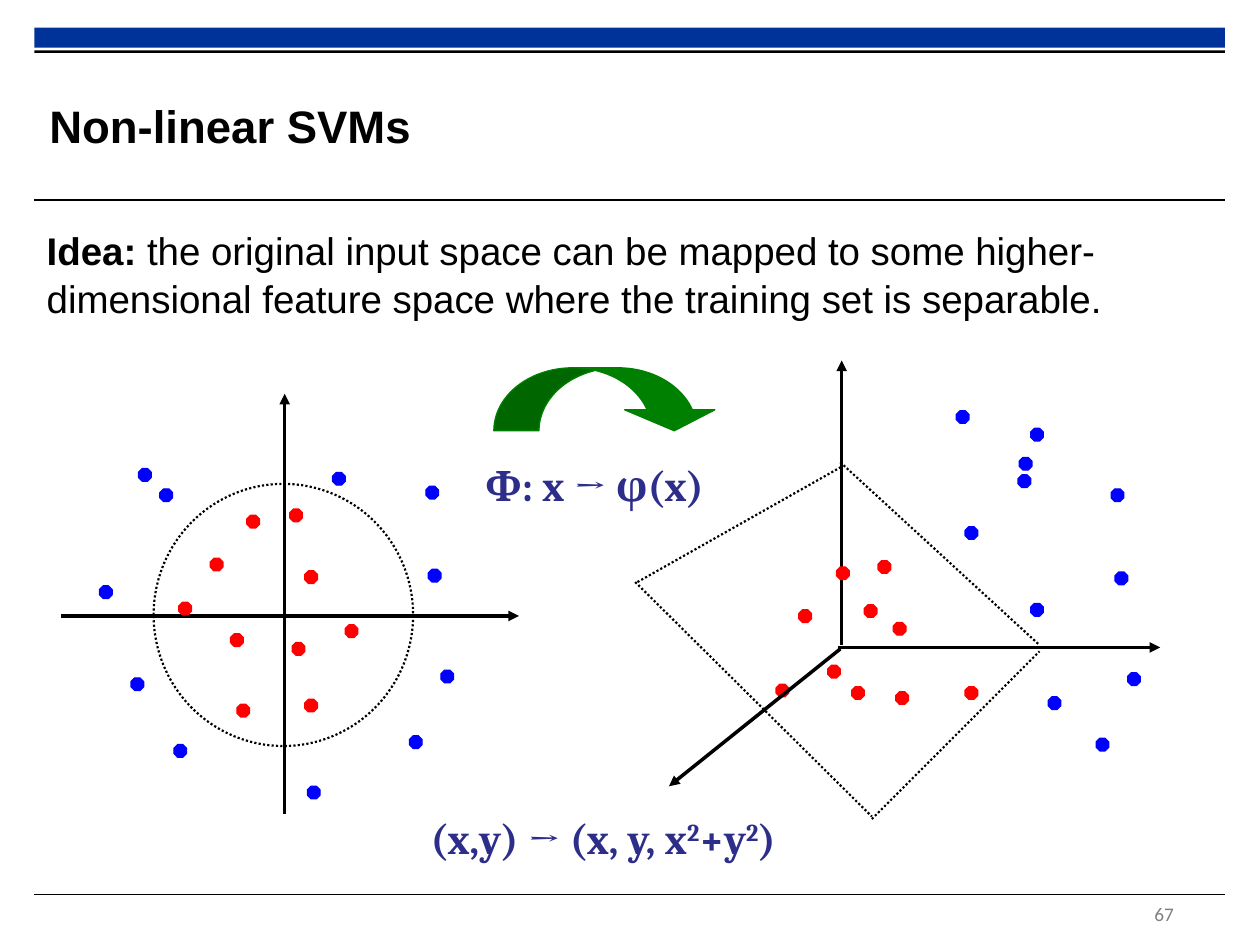
from lxml import etree
from pptx import Presentation
from pptx.dml.color import RGBColor
from pptx.enum.dml import MSO_LINE
from pptx.enum.shapes import MSO_CONNECTOR, MSO_SHAPE
from pptx.enum.text import MSO_ANCHOR
from pptx.oxml.ns import qn
from pptx.util import Pt

STRAIGHT = MSO_CONNECTOR.STRAIGHT
RECT, OVAL, OCTAGON = MSO_SHAPE.RECTANGLE, MSO_SHAPE.OVAL, MSO_SHAPE.OCTAGON
CURVED_ARROW = MSO_SHAPE.CURVED_DOWN_ARROW
DOTTED = MSO_LINE.ROUND_DOT
MIDDLE, TOP = MSO_ANCHOR.MIDDLE, MSO_ANCHOR.TOP

BLACK, RED, BLUE, GREEN = "000000", "FF0000", "0000FF", "008000"
NAVY, INDIGO, GRAY = "003399", "2D2D8A", "808080"
DOT = 7.2

# Dot positions, as left and top from the corner of each plot
INPUT_INNER = [
    (130.6, 65.9), (85.2, 94), (96.8, 137.2), (139.2, 174.6), (106.1, 69.5),
    (67.2, 119.2), (100.4, 177.5), (139.2, 101.2), (162.3, 132.1), (132, 142.2)]
INPUT_OUTER = [
    (209.8, 100.4), (199, 195.5), (21.9, 109.8), (140.7, 224.3), (217, 158),
    (64.4, 200.5), (39.9, 162.4), (44.2, 42.8), (155.1, 45), (56.4, 54.4),
    (208.4, 52.9)]
FEATURE_BELOW = [
    (138.8, 114.4), (93.5, 142.5), (123.7, 186.4), (188.5, 186.4), (115.1, 118),
    (130.9, 139.6), (148.9, 189.3), (147.5, 149.7), (110, 174.2), (80.5, 185)]
FEATURE_ABOVE = [
    (274.2, 120.9), (263.4, 215.9), (226, 38.8), (226, 138.9), (281.4, 178.5),
    (188.5, 95), (236, 192.2), (219.5, 55.4), (218.8, 65.4), (183.5, 28.7),
    (272, 73.4)]


def rgb(value):
    return RGBColor.from_string(value)


def add_shape(s, kind, x, y, w, h, fill=None, line=None, width=0.75):
    sp = s.shapes.add_shape(kind, Pt(x), Pt(y), Pt(w), Pt(h))
    sp.shadow.inherit = False
    if fill:
        sp.fill.solid()
        sp.fill.fore_color.rgb = rgb(fill)
    else:
        sp.fill.background()
    if line:
        sp.line.color.rgb = rgb(line)
        sp.line.width = Pt(width)
    else:
        sp.line.fill.background()
    return sp


def add_line(s, x1, y1, x2, y2, width, dotted=False, arrow=False):
    c = s.shapes.add_connector(STRAIGHT, Pt(x1), Pt(y1), Pt(x2), Pt(y2))
    c.line.color.rgb = rgb(BLACK)
    c.line.width = Pt(width)
    if dotted:
        c.line.dash_style = DOTTED
    if arrow:
        etree.SubElement(c.line._get_or_add_ln(), qn("a:tailEnd"), type="triangle")
    etree.SubElement(c._element.spPr, qn("a:effectLst"))


def add_text(s, box, runs, size, font, color, anchor=TOP, inset=None):
    """Place one paragraph; runs are (text, bold, superscript)."""
    tf = s.shapes.add_textbox(*map(Pt, box)).text_frame
    tf.word_wrap = True
    tf.vertical_anchor = anchor
    if inset is not None:
        tf.margin_left = tf.margin_right = Pt(inset)
        tf.margin_top = tf.margin_bottom = Pt(inset)
    p = tf.paragraphs[0]
    p.font.size = Pt(size)
    p.font.name = font
    p.font.color.rgb = rgb(color)
    for text, bold, raised in runs:
        r = p.add_run()
        r.text = text
        r.font.bold = bold
        if raised:
            r.font._element.set("baseline", "30000")
    return p


def add_dots(s, x, y, places, color):
    for dx, dy in places:
        add_shape(s, OCTAGON, x + dx, y + dy, DOT, DOT, color, color)


def add_frame(s, x, y, w):
    # Top bar, rules and slide number
    add_shape(s, RECT, x, y, w, 11.5, NAVY)
    add_shape(s, RECT, x, y + 13, w, 1.4, BLACK)
    for rule in (98.5, 495.4):
        add_line(s, x, y + rule, x + w, y + rule, 0.6)
    add_text(s, (x + 632.9, y + 496.1, 39.6, 22.3), [("67", False, False)],
             11, "Calibri", GRAY)


def add_heading(s, x, y, w):
    # Title and the idea below it
    add_text(s, (x + 8.6, y, 512, 66.2), [("Non-linear SVMs", True, False)],
             26, "Arial", BLACK, MIDDLE, 0)
    p = add_text(s, (x, y + 87.1, w, 64), [
        ("Idea: ", True, False),
        ("the original input space can be mapped to some higher-dimensional "
         "feature space where the training set is separable.", False, False),
    ], 22, "Arial", BLACK)
    p.line_spacing = 1.04


def add_input_space(s, x, y, w, h):
    # Two axes, two classes and the circle between them
    add_line(s, x + 127.7, y + h, x + 127.7, y, 2, arrow=True)
    add_line(s, x, y + 127, x + w, y + 127, 2, arrow=True)
    add_dots(s, x, y, INPUT_INNER, RED)
    add_dots(s, x, y, INPUT_OUTER, BLUE)
    circle = add_shape(s, OVAL, x + 52.8, y + 51.5, 148.3, 149.8,
                       line=BLACK, width=1.25)
    circle.line.dash_style = DOTTED


def add_feature_space(s, x, y, w):
    # Three axes, two classes and the separating plane
    add_line(s, x + 118, y + 162.6, x + 118, y, 2, arrow=True)
    add_line(s, x + 115.8, y + 164, x + w, y + 164, 2, arrow=True)
    add_dots(s, x, y, FEATURE_BELOW, RED)
    add_dots(s, x, y, FEATURE_ABOVE, BLUE)
    add_line(s, x + 117.2, y + 164.8, x + 19.3, y + 243.3, 2, arrow=True)
    plane = [(117.2, 58.2, 231, 162.6), (135.2, 262, 231, 166.2),
             (1.3, 126.6, 117.2, 61.1), (0, 126.6, 135.2, 260.6)]
    for x1, y1, x2, y2 in plane:
        add_line(s, x + x1, y + y1, x + x2, y + y2, 1.25, dotted=True)


def add_mapping(s, x, y):
    # Curved arrow with the general mapping and the worked one
    arrow = add_shape(s, CURVED_ARROW, x + 43.2, y, 128.9, 36, GREEN, GREEN)
    for i, value in enumerate((0.717, 1.433, 0.333)):
        arrow.adjustments[i] = value
    add_text(s, (x + 31.5, y + 49, 180, 36), [("Φ: x → φ(x)", True, False)],
             24, "Cambria", INDIGO)
    add_text(s, (x, y + 250.5, 225, 36), [
        ("(x,y) → (x, y, x", True, False), ("2", True, True),
        ("+y", True, False), ("2", True, True), (")", True, False),
    ], 24, "Cambria", INDIGO)


def main():
    prs = Presentation()
    prs.slide_width, prs.slide_height = Pt(720), Pt(540)
    s = prs.slides.add_slide(prs.slide_layouts[6])
    add_frame(s, 19.6, 15.8, 680.4)
    add_input_space(s, 35, 225, 261.6, 240)
    add_feature_space(s, 363, 206, 300)
    add_mapping(s, 239, 210.2)
    add_heading(s, 19.6, 38.2, 680.4)
    prs.save("out.pptx")


if __name__ == "__main__":
    main()
